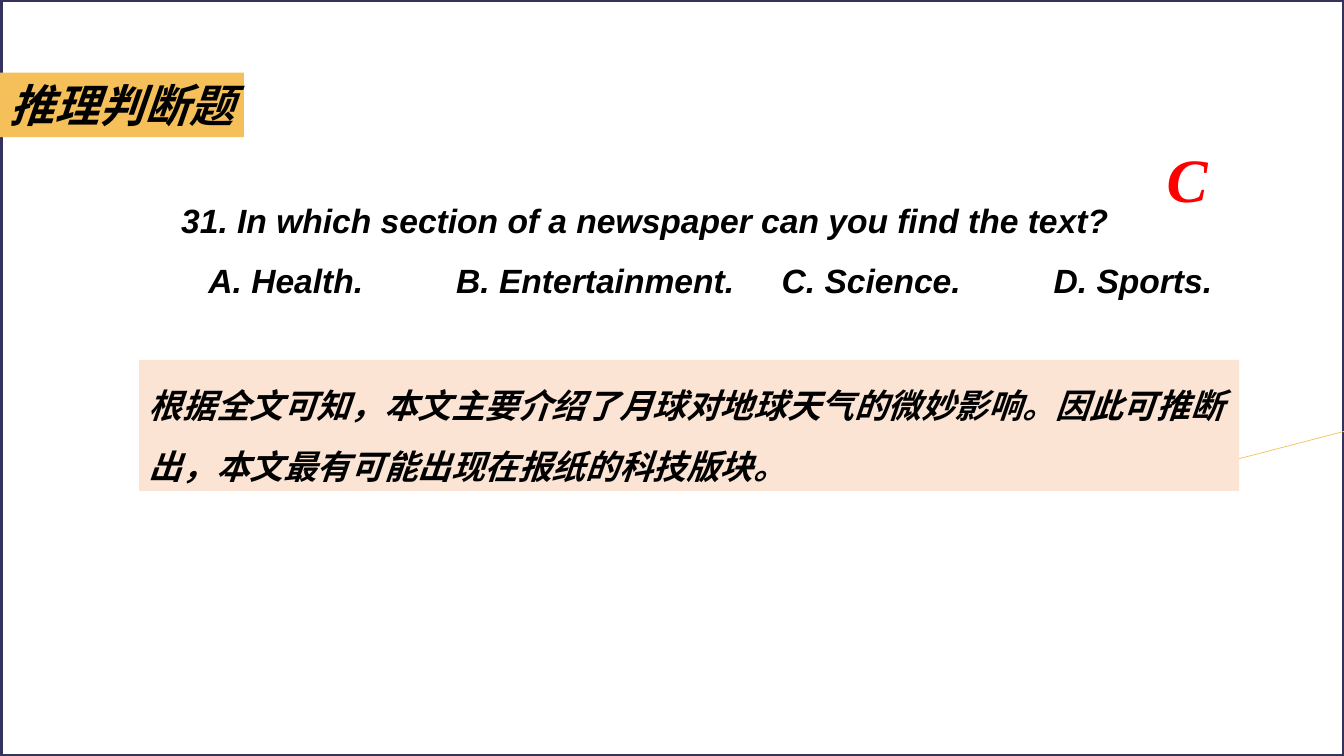
import dataclasses
import typing

import pptx
import pptx.dml.color
import pptx.enum.shapes
import pptx.enum.text
import pptx.oxml.ns
import pptx.util
from lxml import etree

Inches = pptx.util.Inches
Pt = pptx.util.Pt
qn = pptx.oxml.ns.qn
RECT = pptx.enum.shapes.MSO_SHAPE.RECTANGLE
GOLD, NAVY, PEACH = "F5C059", "33335E", "FBE4D4"
CJK = "Noto Sans CJK SC"


@dataclasses.dataclass
class Box:
    left: float
    top: float
    width: float
    height: float
    fill: typing.Optional[str] = None


def color(code: str) -> pptx.dml.color.RGBColor:
    return pptx.dml.color.RGBColor.from_string(code)


def draw(slide, box: Box):
    """Add a filled panel, or a text box when there is no fill."""
    place = [Inches(n) for n in (box.left, box.top, box.width, box.height)]
    if box.fill is None:
        return slide.shapes.add_textbox(*place)
    shape = slide.shapes.add_shape(RECT, *place)
    shape.shadow.inherit = False
    shape.fill.solid()
    shape.fill.fore_color.rgb = color(box.fill)
    shape.line.fill.background()
    return shape


def write(shape, text: str, *, size: float = 24, font: str = "Arial",
          ink: str = "000000", space: float = 1, wrap: bool = True,
          tabs: typing.Sequence[float] = ()) -> None:
    frame = shape.text_frame
    frame.word_wrap = wrap
    frame.vertical_anchor = pptx.enum.text.MSO_ANCHOR.TOP
    for i, line in enumerate(text.split("\n")):
        para = frame.add_paragraph() if i else frame.paragraphs[0]
        para.alignment = pptx.enum.text.PP_ALIGN.LEFT
        para.line_spacing = space
        if tabs:
            stops = etree.SubElement(para._p.get_or_add_pPr(), qn("a:tabLst"))
            for stop in tabs:
                etree.SubElement(stops, qn("a:tab"), pos=str(Inches(stop)), algn="l")
        run = para.add_run()
        run.text = line
        run.font.name = font
        run.font.size = Pt(size)
        run.font.bold = run.font.italic = True
        run.font.color.rgb = color(ink)
        etree.SubElement(run.font._element, qn("a:ea"), typeface=CJK)


def main() -> None:
    deck = pptx.Presentation()
    deck.slide_width, deck.slide_height = Inches(13.34), Inches(7.5)
    slide = deck.slides.add_slide(deck.slide_layouts[6])

    # Frame around the page
    frame = draw(slide, Box(0.01, 0, 13.33, 7.5, "FFFFFF"))
    frame.fill.background()
    frame.line.color.rgb = color(NAVY)
    frame.line.width = Pt(3)

    # Thin accent line at the right edge
    accent = slide.shapes.add_connector(
        pptx.enum.shapes.MSO_CONNECTOR.STRAIGHT,
        Inches(12.3), Inches(4.55), Inches(13.34), Inches(4.28))
    accent.line.color.rgb = color(GOLD)
    accent.line.width = Pt(0.5)
    etree.SubElement(accent._element.spPr, qn("a:effectLst"))

    # Question with its four choices
    write(draw(slide, Box(1.7, 1.73, 10.85, 1.3)),
          "31. In which section of a newspaper can you find the text?\n"
          "\tA. Health.\tB. Entertainment.\tC. Science.\tD. Sports.",
          space=1.5, tabs=(0.27, 2.73, 5.96, 8.66))

    # Explanation
    write(draw(slide, Box(1.38, 3.57, 10.92, 1.3, PEACH)),
          "根据全文可知，本文主要介绍了月球对地球天气的微妙影响。"
          "因此可推断出，本文最有可能出现在报纸的科技版块。", space=1.5)

    # Heading and answer
    write(draw(slide, Box(0, 0.72, 2.42, 0.64, GOLD)), "推理判断题",
          size=32, font=CJK, wrap=False)
    write(draw(slide, Box(11.48, 1.35, 0.59, 1.57)), "C",
          size=44, font="Times New Roman", ink="FF0000")

    deck.save("out.pptx")


if __name__ == "__main__":
    main()
